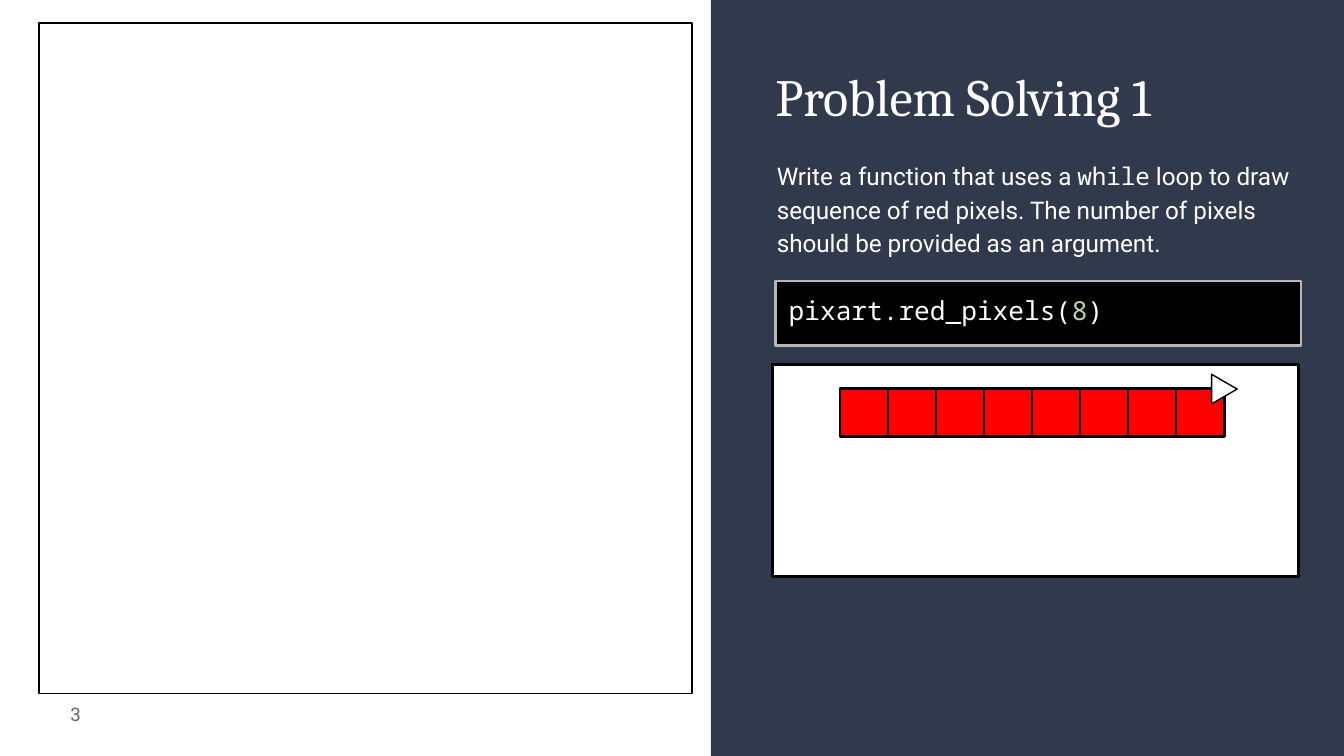
from dataclasses import dataclass

from lxml.etree import SubElement
from pptx import Presentation
from pptx.dml.color import RGBColor
from pptx.enum.shapes import MSO_SHAPE as Preset
from pptx.enum.text import MSO_ANCHOR as Anchor, MSO_AUTO_SIZE as AutoSize, PP_ALIGN as Align
from pptx.oxml.ns import qn
from pptx.util import Inches, Pt

PAGE_WIDTH = 10
PAGE_HEIGHT = PAGE_WIDTH * 9 / 16


@dataclass(frozen=True)
class Theme:
    navy: str = "31394D"
    white: str = "FFFFFF"
    black: str = "000000"
    red: str = "FF0000"
    border: str = "B7B7B7"
    number: str = "B6D7A8"
    muted: str = "666666"
    serif: str = "Cambria"
    sans: str = "Roboto"
    mono: str = "Noto Sans Mono"
    title_size: float = 28
    body_size: float = 13
    code_size: float = 14
    page_size: float = 10
    thin: float = 0.75
    thick: float = 1.5


theme = Theme()


@dataclass(frozen=True)
class Box:
    left: float
    top: float
    width: float
    height: float

    def inside(self, left, top, width, height):
        return Box(self.left + left, self.top + top, width, height)

    def lengths(self):
        return [Inches(value) for value in (self.left, self.top, self.width, self.height)]


def add_text(paragraph, text, font, size, color=theme.white):
    run = paragraph.add_run()
    run.text = text
    run.font.name = font
    run.font.size = Pt(size)
    run.font.color.rgb = RGBColor.from_string(color)


def prepare_frame(shape, anchor=Anchor.TOP, align=Align.LEFT):
    frame = shape.text_frame
    frame.word_wrap = True
    frame.auto_size = AutoSize.NONE
    frame.vertical_anchor = anchor
    frame.margin_left = frame.margin_right = Inches(0.1)
    frame.margin_top = frame.margin_bottom = Inches(0.1)
    paragraph = frame.paragraphs[0]
    paragraph.alignment = align
    return paragraph


def place(shape, box):
    shape.left, shape.top, shape.width, shape.height = box.lengths()


def add_preset(shapes, preset, box, fill=None, line=None, weight=theme.thick):
    shape = shapes.add_shape(preset, *box.lengths())
    shape.shadow.inherit = False
    if fill:
        shape.fill.solid()
        shape.fill.fore_color.rgb = RGBColor.from_string(fill)
    else:
        shape.fill.background()
    if line:
        shape.line.color.rgb = RGBColor.from_string(line)
        shape.line.width = Pt(weight)
    else:
        shape.line.fill.background()
    return shape


def add_panel(slide, box):
    panel = add_preset(slide.shapes, Preset.RECTANGLE, box, theme.navy)
    slide.shapes.title.element.addprevious(panel.element)


def fill_title(slide, box):
    title = slide.shapes.title
    place(title, box)
    add_text(prepare_frame(title), "Problem Solving 1", theme.serif, theme.title_size)


def fill_task(slide, box):
    body = slide.placeholders[1]
    place(body, box)
    paragraph = prepare_frame(body)
    paragraph.line_spacing = 1.15
    paragraph.space_before = Pt(0)
    paragraph.space_after = Pt(16)
    for text, font in (
        ("Write a function that uses a ", theme.sans),
        ("while", theme.mono),
        (" loop to draw sequence of red pixels. The number of pixels "
         "should be provided as an argument.", theme.sans),
    ):
        add_text(paragraph, text, font, theme.body_size)
    properties = paragraph._p.get_or_add_pPr()
    properties.set("marL", "0")
    properties.set("indent", "0")
    SubElement(properties, qn("a:buNone"))


def add_page_number(slide, box):
    shape = slide.shapes.add_textbox(*box.lengths())
    paragraph = prepare_frame(shape, Anchor.MIDDLE, Align.RIGHT)
    add_text(paragraph, "3", theme.sans, theme.page_size, theme.muted)


def add_work_area(slide, box):
    add_preset(slide.shapes, Preset.RECTANGLE, box, line=theme.black, weight=theme.thin)


def add_pixel_canvas(slide, box, count=8):
    shapes = slide.shapes.add_group_shape().shapes
    add_preset(shapes, Preset.RECTANGLE, box, theme.white, theme.black)
    step = 2.5 / (count - 1)
    for index in range(count):
        pixel = box.inside(0.5 + index * step, 0.18, 0.36, 0.36)
        add_preset(shapes, Preset.RECTANGLE, pixel, theme.red, theme.black)
    turtle = add_preset(shapes, Preset.ISOSCELES_TRIANGLE, box.inside(3.25, 0.09, 0.22, 0.19),
                        theme.white, theme.black, theme.thin)
    turtle.rotation = 90


def add_code(slide, box):
    shape = add_preset(slide.shapes, Preset.RECTANGLE, box, theme.black, theme.border)
    paragraph = prepare_frame(shape)
    for text, color in (("pixart.red_pixels(", theme.white), ("8", theme.number), (")", theme.white)):
        add_text(paragraph, text, theme.mono, theme.code_size, color)


def build_problem_slide(presentation):
    slide = presentation.slides.add_slide(presentation.slide_layouts[1])
    add_panel(slide, Box(5.29, 0, PAGE_WIDTH - 5.29, PAGE_HEIGHT))
    fill_title(slide, Box(5.67, 0.38, 4.05, 0.7))
    fill_task(slide, Box(5.68, 1.07, 4.05, 1.01))
    add_page_number(slide, Box(0.1, 5.1, 0.6, 0.43))
    add_work_area(slide, Box(0.29, 0.17, 4.86, 4.99))
    add_pixel_canvas(slide, Box(5.75, 2.71, 3.91, 1.58))
    add_code(slide, Box(5.77, 2.09, 3.91, 0.48))


presentation = Presentation()
presentation.slide_width = Inches(PAGE_WIDTH)
presentation.slide_height = Inches(PAGE_HEIGHT)
build_problem_slide(presentation)
presentation.save("out.pptx")
